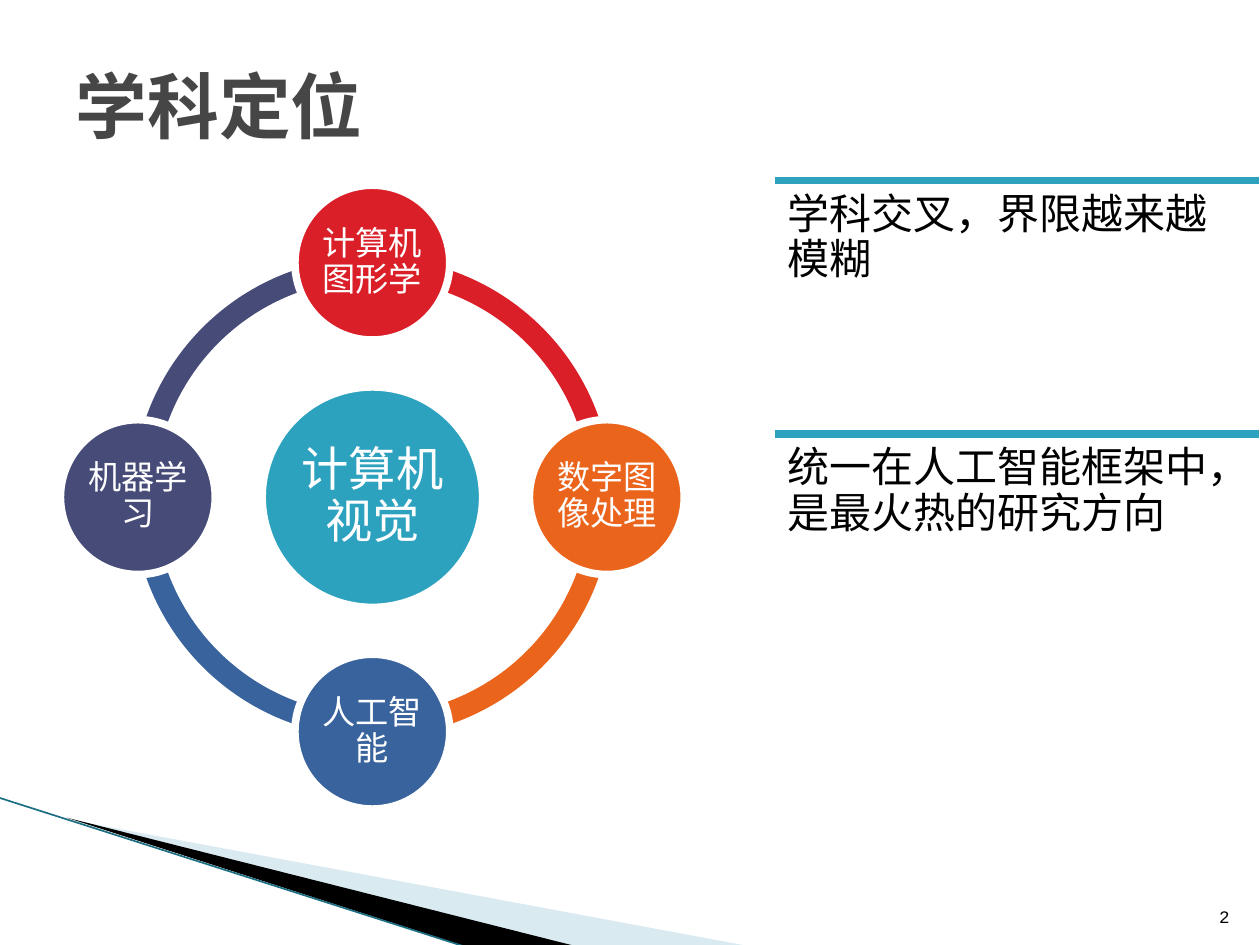
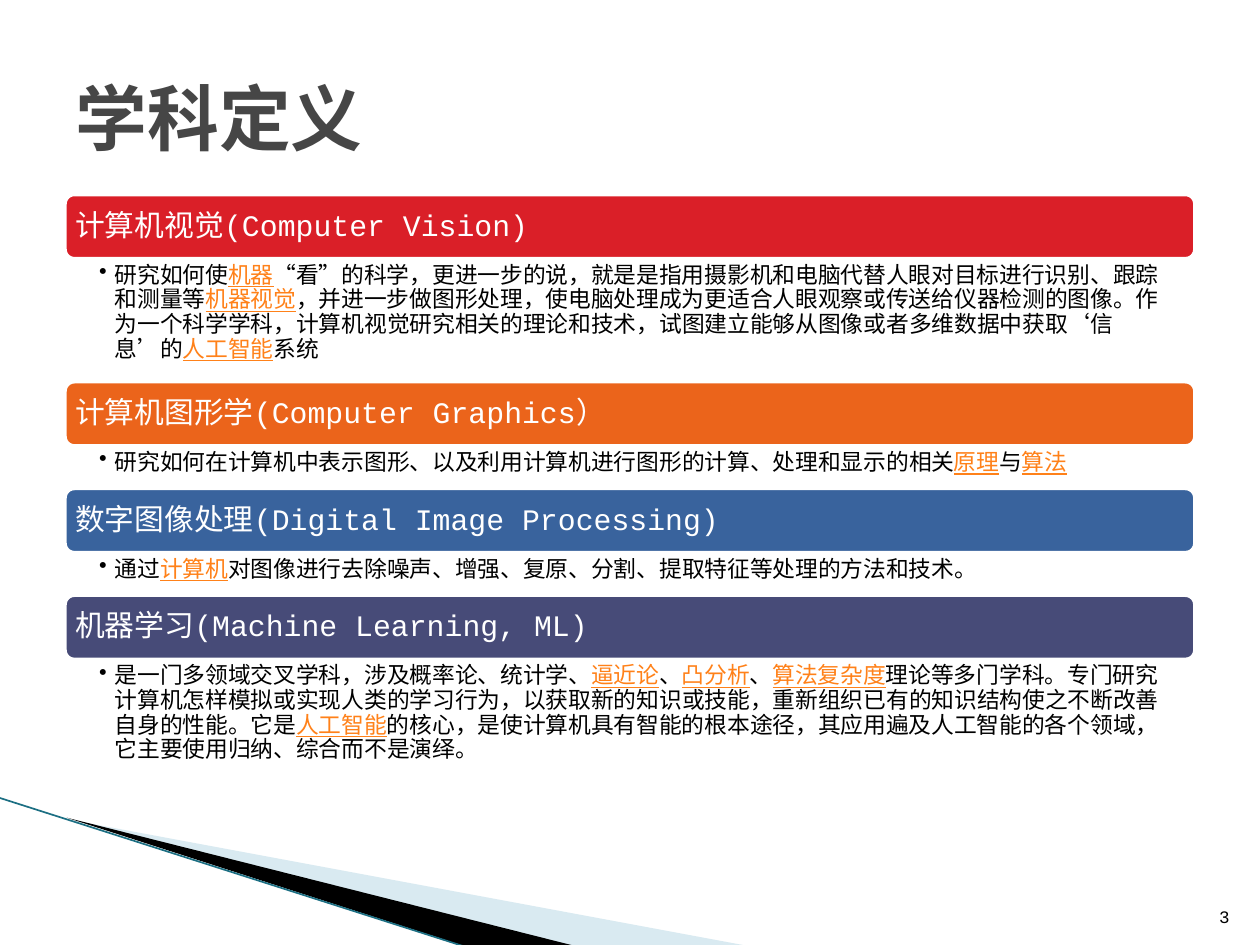
"""Build two slides on computer vision: its neighbouring fields and their definitions."""
from dataclasses import dataclass
from typing import NamedTuple

from lxml import etree
from pptx import Presentation
from pptx.dml.color import RGBColor
from pptx.enum.lang import MSO_LANGUAGE_ID
from pptx.enum.shapes import MSO_CONNECTOR, MSO_SHAPE
from pptx.enum.text import MSO_ANCHOR, MSO_AUTO_SIZE, PP_ALIGN
from pptx.oxml.ns import qn
from pptx.util import Pt

CHINESE = MSO_LANGUAGE_ID.SIMPLIFIED_CHINESE
STRAIGHT = MSO_CONNECTOR.STRAIGHT
OVAL, ARC, ROUNDED = MSO_SHAPE.OVAL, MSO_SHAPE.BLOCK_ARC, MSO_SHAPE.ROUNDED_RECTANGLE
TOP, MIDDLE, BOTTOM = MSO_ANCHOR.TOP, MSO_ANCHOR.MIDDLE, MSO_ANCHOR.BOTTOM
LEFT, CENTER, RIGHT = PP_ALIGN.LEFT, PP_ALIGN.CENTER, PP_ALIGN.RIGHT
NO_FIT = MSO_AUTO_SIZE.NONE
TITLE_ONLY = 5

FONT = "Courier New"
COLORS = {
    "text": "000000", "title": "464646", "white": "FFFFFF", "link": "FF8119",
    "teal": "2DA2BF", "red": "DA1F28", "orange": "EB641B", "blue": "39639D",
    "indigo": "474B78", "pale": "A0CBDC", "edge": "1C6F83",
}
OUTLINE = 4.33
MARGIN, CONTENT_WIDTH = 36, 648


class Area(NamedTuple):
    """Position and size in points."""
    left: float
    top: float
    width: float
    height: float

    def lengths(self) -> list:
        """Return the four values as lengths."""
        return [Pt(value) for value in self]


@dataclass(frozen=True)
class Style:
    """Look of a text block; insets run left, top, right, bottom."""
    size: float
    color: str = "text"
    align: PP_ALIGN = LEFT
    anchor: MSO_ANCHOR = TOP
    insets: tuple = (7.2, 7.2, 7.2, 7.2)
    spacing: float = 0.9
    bold: bool = False


@dataclass(frozen=True)
class Satellite:
    """A field on the ring, placed by its direction from the hub."""
    label: str
    color: str
    across: int
    down: int
    arc_start: float


@dataclass(frozen=True)
class Section:
    """A heading bar with a definition whose spans alternate plain and linked."""
    heading: str
    color: str
    body_height: float
    spans: tuple


TITLE = Style(41, "title", anchor=MIDDLE, insets=(7.2, 3.6, 7.2, 3.6), spacing=1, bold=True)
NUMBER = Style(10, align=RIGHT, anchor=BOTTOM, insets=(7.2, 3.6, 7.2, 3.6), spacing=1)
HUB = Style(27, "white", CENTER, MIDDLE, (3, 3, 3, 3))
FIELD = Style(19, "white", CENTER, MIDDLE, (2, 2, 2, 2))
NOTE = Style(24)
HEADING = Style(17, "white", anchor=MIDDLE, insets=(5, 5, 5, 5))
DEFINITION = Style(13, insets=(20.6, 1.6, 9.4, 1.6))

SATELLITES = (
    Satellite("计算机图形学", "red", 0, -1, 162),
    Satellite("数字图像处理", "orange", 1, 0, 0),
    Satellite("人工智能", "blue", 0, 1, 54),
    Satellite("机器学习", "indigo", -1, 0, 108),
)
NOTES = ("学科交叉，界限越来越模糊", "统一在人工智能框架中，是最火热的研究方向")
SECTIONS = (
    Section("计算机视觉(Computer Vision)", "red", 68, (
        "研究如何使", "机器",
        "“看”的科学，更进一步的说，就是是指用摄影机和电脑代替人眼对目标进行识别、跟踪和测量等",
        "机器视觉",
        "，并进一步做图形处理，使电脑处理成为更适合人眼观察或传送给仪器检测的图像。"
        "作为一个科学学科，计算机视觉研究相关的理论和技术，"
        "试图建立能够从图像或者多维数据中获取‘信息’的",
        "人工智能", "系统")),
    Section("计算机图形学(Computer Graphics）", "orange", 22, (
        "研究如何在计算机中表示图形、以及利用计算机进行图形的计算、处理和显示的相关",
        "原理", "与", "算法")),
    Section("数字图像处理(Digital Image Processing)", "blue", 22, (
        "通过", "计算机", "对图像进行去除噪声、增强、复原、分割、提取特征等处理的方法和技术。")),
    Section("机器学习(Machine Learning, ML)", "indigo", 68, (
        "是一门多领域交叉学科，涉及概率论、统计学、", "逼近论", "、", "凸分析", "、",
        "算法复杂度",
        "理论等多门学科。专门研究计算机怎样模拟或实现人类的学习行为，以获取新的知识或技能，"
        "重新组织已有的知识结构使之不断改善自身的性能。它是",
        "人工智能",
        "的核心，是使计算机具有智能的根本途径，其应用遍及人工智能的各个领域，"
        "它主要使用归纳、综合而不是演绎。")),
)


def rgb(name: str) -> RGBColor:
    """Look up a named colour."""
    return RGBColor.from_string(COLORS[name])


def write(shape, spans: tuple, style: Style):
    """Fill a shape with one paragraph of alternating plain and linked spans."""
    frame = shape.text_frame
    frame.word_wrap = True
    frame.auto_size = NO_FIT
    frame.vertical_anchor = style.anchor
    (frame.margin_left, frame.margin_top,
     frame.margin_right, frame.margin_bottom) = map(Pt, style.insets)
    para = frame.paragraphs[0]
    para.alignment = style.align
    para.line_spacing = style.spacing
    for index, text in enumerate(spans):
        linked = index % 2 == 1
        span = para.add_run()
        span.text = text
        span.font.name = FONT
        span.font.size = Pt(style.size)
        span.font.bold = style.bold
        span.font.underline = linked
        span.font.language_id = CHINESE
        span.font.color.rgb = rgb("link" if linked else style.color)
    return para


def add_text(page, area: Area, spans: tuple, style: Style):
    """Add a text box and return its paragraph."""
    return write(page.shapes.add_textbox(*area.lengths()), spans, style)


def paint(shape, color: str, outlined: bool = False) -> None:
    """Give a shape a flat fill, with a white outline or none."""
    shape.shadow.inherit = False
    shape.fill.solid()
    shape.fill.fore_color.rgb = rgb(color)
    if outlined:
        shape.line.color.rgb = rgb("white")
        shape.line.width = Pt(OUTLINE)
    else:
        shape.line.fill.background()


def add_shape(page, kind: MSO_SHAPE, area: Area, color: str, outlined: bool = True):
    """Add a painted preset shape."""
    shape = page.shapes.add_shape(kind, *area.lengths())
    paint(shape, color, outlined)
    return shape


def add_line(page, start: tuple, end: tuple, color: str, width: float) -> None:
    """Add a straight line without a shadow."""
    line = page.shapes.add_connector(STRAIGHT, *map(Pt, start + end))
    line.line.color.rgb = rgb(color)
    line.line.width = Pt(width)
    etree.SubElement(line._element.spPr, qn("a:effectLst"))


def add_wedge(page, corners: list, color: str):
    """Add a filled polygon."""
    points = [(Pt(x), Pt(y)) for x, y in corners]
    builder = page.shapes.build_freeform(*points[0])
    builder.add_line_segments(points[1:], close=True)
    wedge = builder.convert_to_shape()
    paint(wedge, color)
    return wedge


def add_page(deck, title: str, title_top: float, number: int):
    """Add a slide with the title, corner wedges and page number."""
    page = deck.slides.add_slide(deck.slide_layouts[TITLE_ONLY])
    heading = page.shapes.title
    heading.left, heading.top, heading.width, heading.height = Area(
        MARGIN, title_top, CONTENT_WIDTH, 90).lengths()
    write(heading, (title,), TITLE)
    pale = add_wedge(page, [(39.6, 468.4), (428.4, 540.7), (328.3, 540.7)], "pale")
    solid = pale._element.spPr.find(qn("a:solidFill"))
    etree.SubElement(solid[0], qn("a:alpha"), val="40000")
    add_wedge(page, [(38.2, 467.3), (329, 540.7), (267.8, 541.4)], "text")
    add_line(page, (-0.7, 455.8), (267.1, 541.4), "edge", 0.95)
    add_text(page, Area(681, 504.7, 28.8, 28.8), (str(number),), NUMBER)
    return page


def centred(x: float, y: float, size: float) -> Area:
    """Return a square area around a centre."""
    return Area(x - size / 2, y - size / 2, size, size)


def add_ring(page) -> None:
    """Draw the hub, its satellites and the arcs that join them."""
    x, y, orbit, quarter = 212.8, 284.1, 134, 54
    for field in reversed(SATELLITES):
        arc = add_shape(page, ARC, centred(x, y, 274.3), field.color, outlined=False)
        arc.adjustments[0] = field.arc_start
        arc.adjustments[1] = (field.arc_start + quarter) % (4 * quarter)
        arc.adjustments[2] = 0.046
    write(add_shape(page, OVAL, centred(x, y, 126), "teal"), ("计算机视觉",), HUB)
    for field in SATELLITES:
        place = centred(x + field.across * orbit, y + field.down * orbit, 88.5)
        write(add_shape(page, OVAL, place, field.color), (field.label,), FIELD)


def add_notes_column(page) -> None:
    """Draw the ruled remarks beside the ring."""
    left, width, step = 442.8, 276.5, 144.7
    for index, note in enumerate(NOTES):
        top = 103.2 + index * step
        add_line(page, (left, top), (left + width, top), "teal", OUTLINE)
        add_text(page, Area(left, top, width, step), (note,), NOTE)


def add_sections(page) -> None:
    """Stack the heading bars and their bulleted definitions."""
    top, bar_height = 110, 39
    for section in SECTIONS:
        bar = Area(MARGIN, top, CONTENT_WIDTH, bar_height)
        write(add_shape(page, ROUNDED, bar, section.color), (section.heading,), HEADING)
        top += bar_height
        body = Area(MARGIN, top, CONTENT_WIDTH, section.body_height)
        para = add_text(page, body, section.spans, DEFINITION)
        properties = para._p.get_or_add_pPr()
        properties.set("marL", str(Pt(9)))
        properties.set("indent", str(-Pt(9)))
        etree.SubElement(properties, qn("a:buChar"), char="•")
        top += section.body_height


def main() -> None:
    """Build and save the deck."""
    deck = Presentation()
    deck.slide_width, deck.slide_height = Pt(720), Pt(540)
    position = add_page(deck, "学科定位", 15, 2)
    add_ring(position)
    add_notes_column(position)
    add_sections(add_page(deck, "学科定义", 21.6, 3))
    deck.save("out.pptx")


if __name__ == "__main__":
    main()
